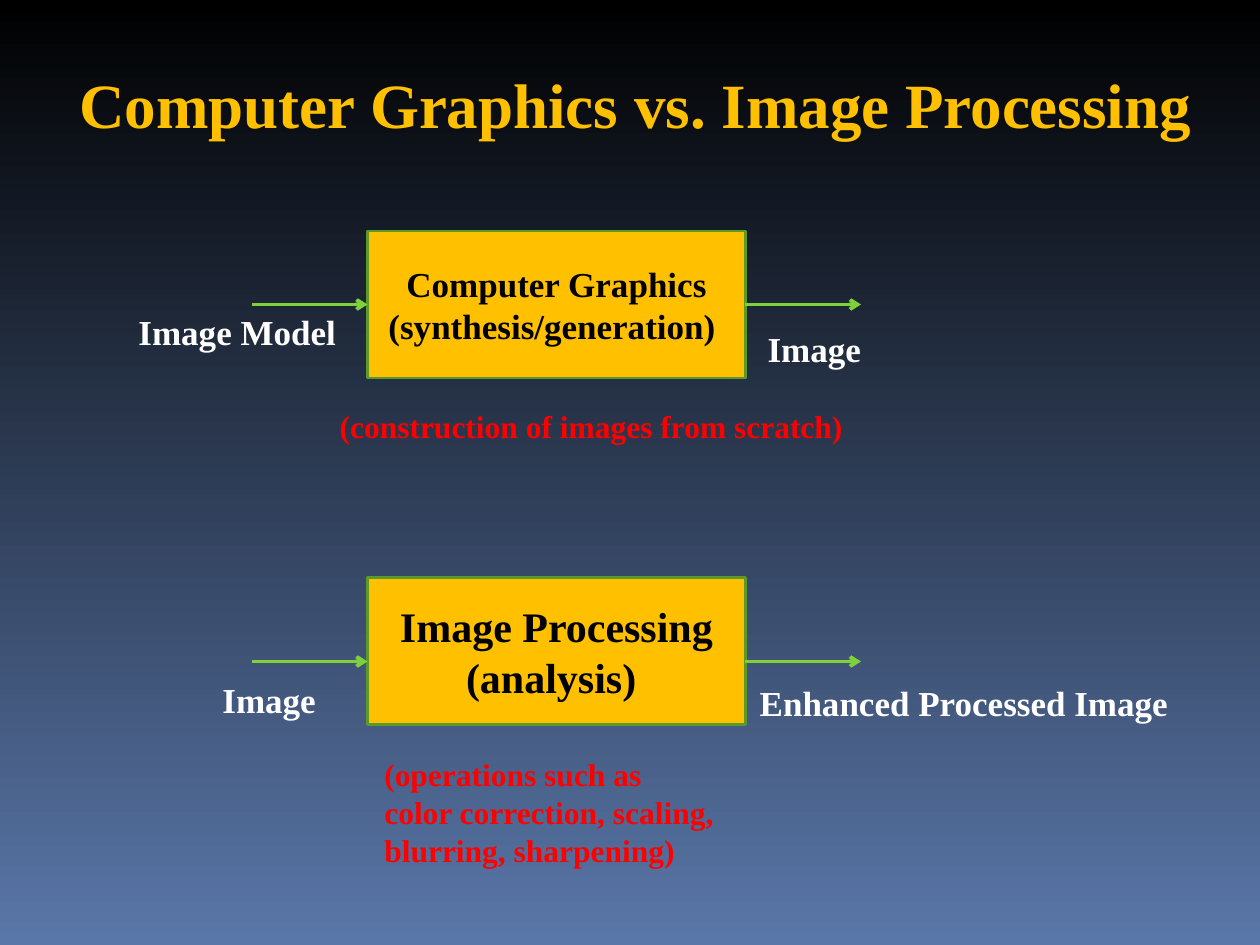
from lxml.etree import SubElement
from pptx import Presentation
from pptx.dml.color import RGBColor
from pptx.enum.shapes import MSO_CONNECTOR, MSO_SHAPE
from pptx.enum.text import MSO_ANCHOR, MSO_AUTO_SIZE, PP_ALIGN
from pptx.oxml.ns import qn
from pptx.util import Pt


def color(hex_string):
    return RGBColor.from_string(hex_string)


def write(shape, lines, size, hex_string, align=PP_ALIGN.LEFT, anchor=MSO_ANCHOR.TOP):
    frame = shape.text_frame
    frame.word_wrap = True
    frame.auto_size = MSO_AUTO_SIZE.NONE
    frame.vertical_anchor = anchor
    for index, line in enumerate(lines):
        para = frame.add_paragraph() if index else frame.paragraphs[0]
        para.alignment = align
        span = para.add_run()
        span.text = line
        span.font.name = "Times New Roman"
        span.font.size = Pt(size)
        span.font.bold = True
        span.font.color.rgb = color(hex_string)


deck = Presentation()
deck.slide_width, deck.slide_height = Pt(720), Pt(540)
page = deck.slides.add_slide(deck.slide_layouts[5])

# Background: black at the top, blue at the bottom
backdrop = page.background.fill
backdrop.gradient()
backdrop.gradient_angle = 270
for stop, shade in zip(backdrop.gradient_stops, ("000000", "5A77A9")):
    stop.color.rgb = color(shade)

# Title
title = page.shapes.title
title.left, title.top, title.width, title.height = Pt(18), Pt(34), Pt(690), Pt(50)
write(title, ["Computer Graphics vs. Image Processing"], 36, "FFC000", PP_ALIGN.CENTER)

# Process boxes, each with an arrow in and an arrow out
box_left, box_width, box_height = 210, 216, 84
box_right = box_left + box_width
processes = [
    (132, 174, 20, ["Computer Graphics", "(synthesis/generation) "]),
    (330, 378, 24, ["Image Processing", "(analysis) "]),
]
for top, arrow_y, size, lines in processes:
    box = page.shapes.add_shape(
        MSO_SHAPE.RECTANGLE, Pt(box_left), Pt(top), Pt(box_width), Pt(box_height))
    box.shadow.inherit = False
    box.fill.solid()
    box.fill.fore_color.rgb = color("FFC000")
    box.line.color.rgb = color("5C9929")
    box.line.width = Pt(1.5)
    write(box, lines, size, "000000", PP_ALIGN.CENTER, MSO_ANCHOR.MIDDLE)

    for start, end in ((144, box_left), (box_right, 492)):
        arrow = page.shapes.add_connector(
            MSO_CONNECTOR.STRAIGHT, Pt(start), Pt(arrow_y), Pt(end), Pt(arrow_y))
        arrow.line.color.rgb = color("7FD13B")
        arrow.line.width = Pt(2)
        SubElement(arrow.line._get_or_add_ln(), qn("a:tailEnd"), type="arrow")
        SubElement(arrow._element.spPr, qn("a:effectLst"))

# Input and output labels in white, explanations in red
labels = [
    (72, 174, 228, 32, 20, "FFFFFF", "Image Model"),
    (431.5, 183.5, 162, 32, 20, "FFFFFF", "Image"),
    (120, 384, 162, 32, 20, "FFFFFF", "Image"),
    (427, 386, 286, 32, 20, "FFFFFF", "Enhanced Processed Image"),
    (187, 229, 342, 29, 18, "FF0000", "(construction of images from scratch)"),
    (212.5, 428, 204, 72, 18, "FF0000",
     "(operations such as color correction, scaling, blurring, sharpening)"),
]
for left, top, width, height, size, shade, wording in labels:
    label = page.shapes.add_textbox(Pt(left), Pt(top), Pt(width), Pt(height))
    write(label, [wording], size, shade)

deck.save("out.pptx")
